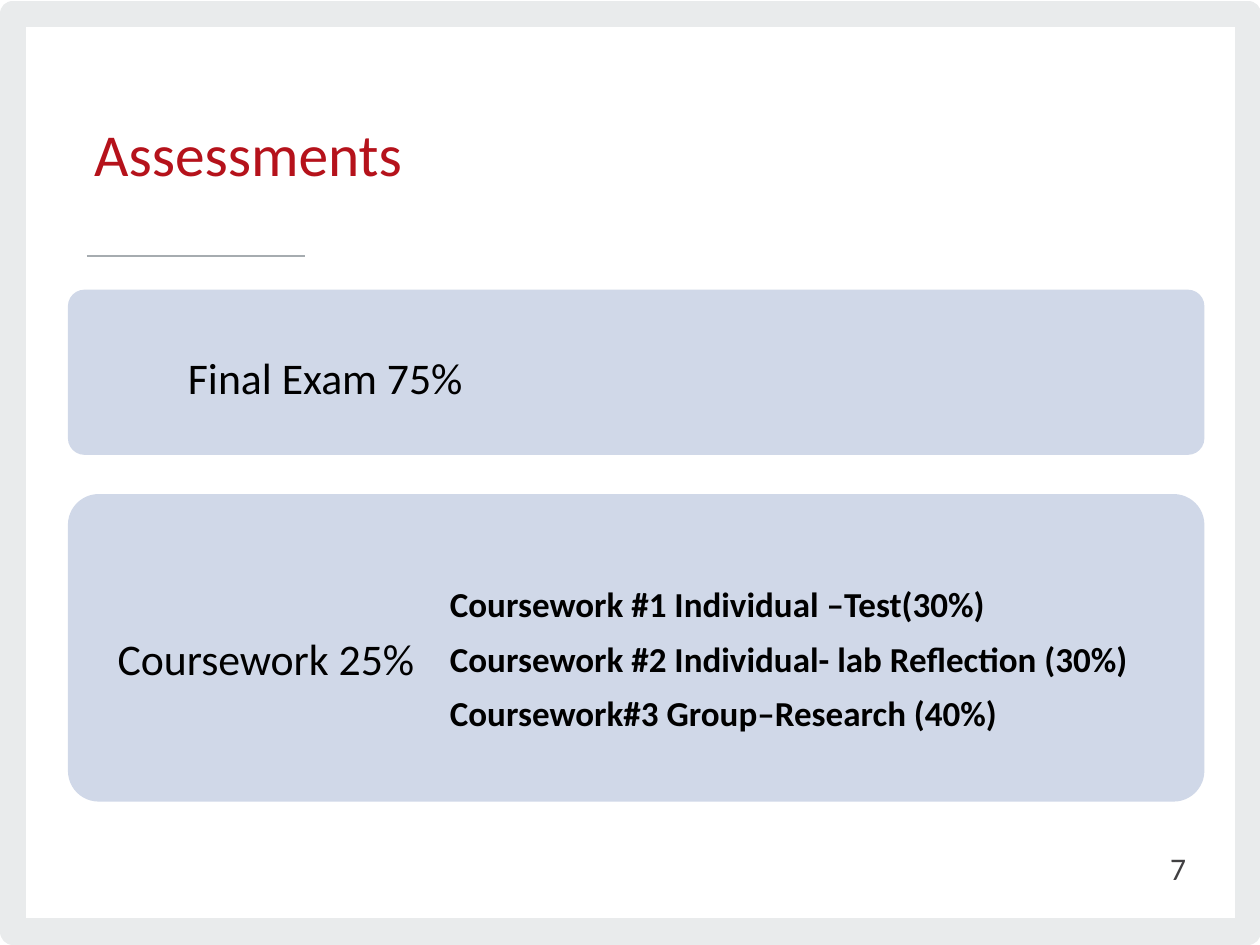
from lxml.etree import SubElement as Sub
from pptx import Presentation
from pptx.dml.color import RGBColor as Rgb
from pptx.enum.shapes import MSO_CONNECTOR as Link, MSO_SHAPE as Kind
from pptx.enum.text import MSO_ANCHOR as Anchor, PP_ALIGN as Align
from pptx.oxml.ns import qn
from pptx.util import Cm, Pt

FONT = "Calibri"


def paint(color, code):
    """Set a fill, line or font colour from a hex string."""
    color.rgb = Rgb.from_string(code)


def add_frame(slide):
    """Draw the thick border around the slide, with round corners."""
    frame = slide.shapes.add_shape(Kind.RECTANGLE, Cm(0.26), Cm(0.28), Cm(24.9), Cm(18.5))
    frame.shadow.inherit = False
    frame.fill.background()
    frame.line.width = Pt(15.2)
    paint(frame.line.color, "E9EBEC")
    Sub(frame.line._get_or_add_ln(), qn("a:round"))


def add_rule(slide):
    """Draw the short line under the title."""
    rule = slide.shapes.add_connector(Link.STRAIGHT, Cm(1.75), Cm(5.16), Cm(6.15), Cm(5.16))
    rule.line.width = Pt(1.4)
    paint(rule.line.color, "A6ACB0")
    Sub(rule._element.spPr, qn("a:effectLst"))


def add_card(slide, top, height):
    """Draw one rounded panel."""
    card = slide.shapes.add_shape(Kind.ROUNDED_RECTANGLE, Cm(1.37), Cm(top), Cm(22.91), Cm(height))
    card.shadow.inherit = False
    card.adjustments[0] = 0.1
    card.fill.solid()
    paint(card.fill.fore_color, "D0D8E8")
    card.line.fill.background()


def add_text(slide, area, lines, size, code="000000", bold=False, inset=0.36,
             anchor=Anchor.MIDDLE, align=Align.LEFT, after=0.35):
    """Write lines in a text box, with space after as a share of the size."""
    frame = slide.shapes.add_textbox(*map(Cm, area)).text_frame
    frame.word_wrap = True
    frame.vertical_anchor = anchor
    frame.margin_left = frame.margin_right = Cm(inset)
    frame.margin_top = frame.margin_bottom = Cm(inset)
    for i, line in enumerate(lines):
        para = frame.add_paragraph() if i else frame.paragraphs[0]
        para.alignment = align
        para.space_after = Pt(size * after)
        run = para.add_run()
        run.text = line
        run.font.name = FONT
        run.font.size = Pt(size)
        run.font.bold = bold
        paint(run.font.color, code)


def main():
    """Build the slide and save it."""
    deck = Presentation()
    deck.slide_width, deck.slide_height = Cm(25.4), Cm(19.05)
    slide = deck.slides.add_slide(deck.slide_layouts[6])
    add_frame(slide)
    add_rule(slide)
    add_text(slide, (1.9, 2.36, 10.95, 1.5), ["Assessments"], 34, "B5121B",
             inset=0, anchor=Anchor.TOP, after=0)
    add_text(slide, (16.54, 16.99, 7.62, 1.02), ["7"], 18, "414042",
             inset=0.25, align=Align.RIGHT, after=0)
    add_card(slide, 5.84, 3.33)
    add_text(slide, (3.43, 5.94, 19.05, 3.33), ["Final Exam 75%"], 25)
    add_card(slide, 9.96, 6.2)
    add_text(slide, (2.01, 11.61, 10.31, 3.33), ["Coursework 25%"], 25)
    tasks = [
        "Coursework #1 Individual –Test(30%)",
        "Coursework #2 Individual- lab Reflection (30%)",
        "Coursework#3 Group–Research (40%)",
    ]
    add_text(slide, (8.71, 10.41, 15.93, 5.72), tasks, 20, bold=True)
    deck.save("out.pptx")


if __name__ == "__main__":
    main()
